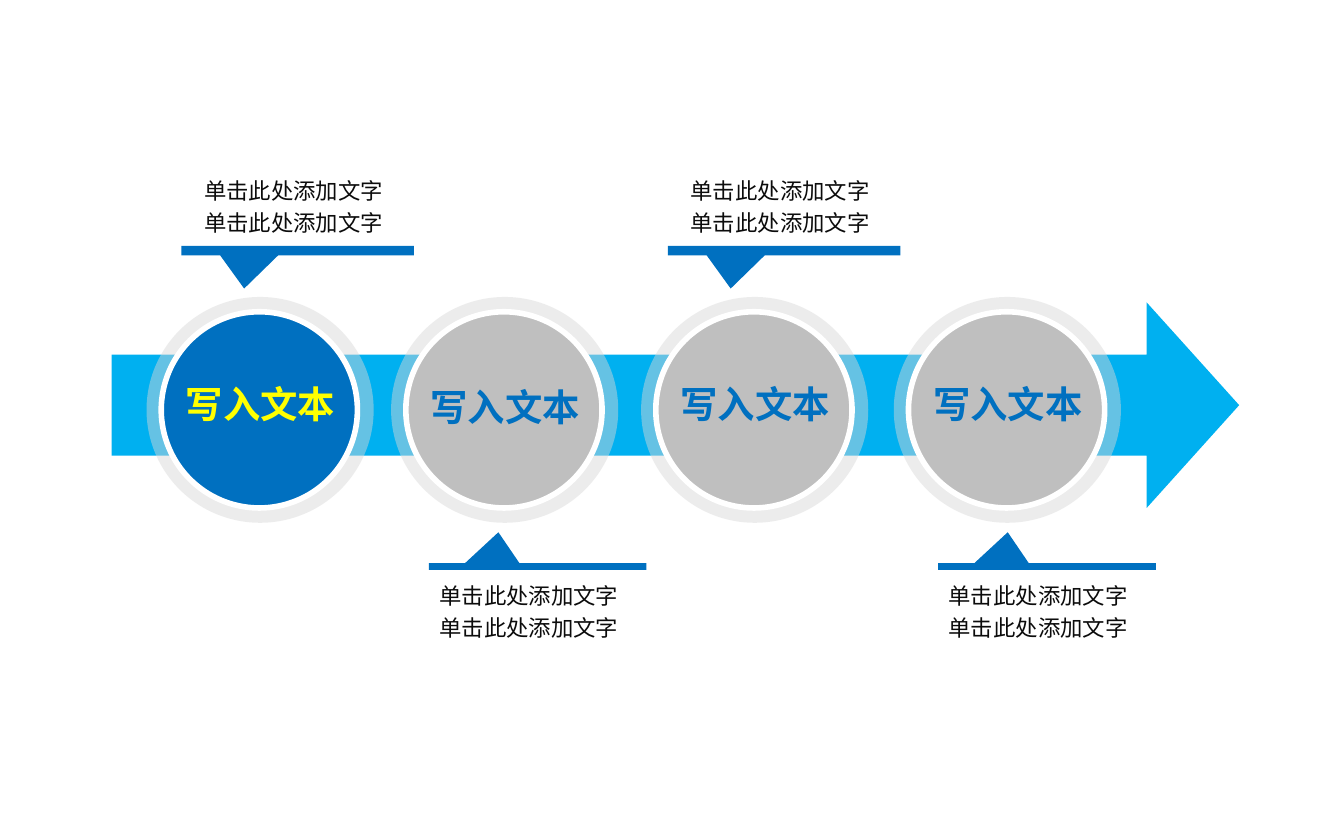
from dataclasses import dataclass

from lxml.etree import SubElement
from pptx import Presentation
from pptx.dml.color import RGBColor
from pptx.enum.shapes import MSO_SHAPE
from pptx.enum.text import MSO_ANCHOR, MSO_AUTO_SIZE, PP_ALIGN
from pptx.oxml.ns import qn
from pptx.shapes.autoshape import Shape
from pptx.util import Emu, Pt

EMU_PER_PX = 9144  # 100 px to the inch
FONT = "Noto Sans CJK SC"
WHITE = RGBColor(0xFF, 0xFF, 0xFF)
SKY = RGBColor(0x00, 0xB0, 0xF0)
BLUE = RGBColor(0x00, 0x70, 0xC0)
YELLOW = RGBColor(0xFF, 0xFF, 0x00)
GREY = RGBColor(0xBF, 0xBF, 0xBF)
RING_GREY = RGBColor(0xD8, 0xD8, 0xD8)
INK = RGBColor(0x0C, 0x0C, 0x0C)
RING_TOP = 221
RING_OPACITY = 47


@dataclass(frozen=True)
class Step:
    left: int
    label_top: int = 279
    fill: RGBColor = GREY
    text_color: RGBColor = BLUE


@dataclass(frozen=True)
class CalloutStyle:
    top: int
    width: int
    height: int
    tip: tuple[float, float]
    note_offset: int
    note_top: int


@dataclass(frozen=True)
class Callout:
    left: int
    style: CalloutStyle


ABOVE = CalloutStyle(183, 173, 7, (-0.23, 4.03), 7, 123)
BELOW = CalloutStyle(419, 162, 5, (-0.18, -5.1), -2, 424)

STEPS = [
    Step(109, fill=BLUE, text_color=YELLOW),
    Step(291, label_top=281),
    Step(477),
    Step(665),
]
CALLOUTS = [Callout(135, ABOVE), Callout(319, BELOW),
            Callout(497, ABOVE), Callout(698, BELOW)]


def px(value: int) -> Emu:
    return Emu(value * EMU_PER_PX)


def add_filled(shapes, kind: MSO_SHAPE, left: int, top: int, width: int,
               height: int, fill: RGBColor) -> Shape:
    shape = shapes.add_shape(kind, px(left), px(top), px(width), px(height))
    shape.shadow.inherit = False
    shape.fill.solid()
    shape.fill.fore_color.rgb = fill
    shape.line.fill.background()
    return shape


def set_opacity(shape: Shape, percent: int) -> None:
    color = shape.fill._xPr.find(f"{qn('a:solidFill')}/{qn('a:srgbClr')}")
    SubElement(color, qn("a:alpha"), val=str(percent * 1000))


def add_text(shapes, left: int, top: int, width: int, height: int,
             lines: list[str], size: int, color: RGBColor, bold: bool = False,
             align: PP_ALIGN = PP_ALIGN.LEFT, spacing: float = 1.0) -> Shape:
    box = shapes.add_textbox(px(left), px(top), px(width), px(height))
    frame = box.text_frame
    frame.word_wrap = True
    frame.vertical_anchor = MSO_ANCHOR.TOP
    for index, line in enumerate(lines):
        paragraph = frame.add_paragraph() if index else frame.paragraphs[0]
        paragraph.alignment = align
        paragraph.line_spacing = spacing
        run = paragraph.add_run()
        run.text = line
        run.font.size = Pt(size)
        run.font.bold = bold
        run.font.name = FONT
        run.font.color.rgb = color
        SubElement(run.font._element, qn("a:ea"), typeface=FONT)
    return box


def add_step(slide, step: Step) -> None:
    shapes = slide.shapes.add_group_shape().shapes
    ring = add_filled(shapes, MSO_SHAPE.OVAL, step.left, RING_TOP, 169, 168, RING_GREY)
    set_opacity(ring, RING_OPACITY)
    disc = add_filled(shapes, MSO_SHAPE.OVAL, step.left + 11, RING_TOP + 11,
                      146, 146, step.fill)
    disc.line.color.rgb = WHITE
    disc.line.width = Pt(3)
    add_text(shapes, step.left - 8, step.label_top, 186, 60, ["写入文本"], 20,
             step.text_color, bold=True, align=PP_ALIGN.CENTER)


def add_callout(slide, callout: Callout) -> None:
    style = callout.style
    bar = add_filled(slide.shapes, MSO_SHAPE.RECTANGULAR_CALLOUT, callout.left,
                     style.top, style.width, style.height, BLUE)
    bar.adjustments[0], bar.adjustments[1] = style.tip
    note = add_text(slide.shapes, callout.left + style.note_offset, style.note_top,
                    161, 58, ["单击此处添加文字"] * 2, 12, INK, spacing=1.2)
    note.text_frame.auto_size = MSO_AUTO_SIZE.SHAPE_TO_FIT_TEXT


def main() -> None:
    presentation = Presentation()
    presentation.slide_width = px(1000)
    presentation.slide_height = px(625)
    slide = presentation.slides.add_slide(presentation.slide_layouts[6])

    arrow = add_filled(slide.shapes, MSO_SHAPE.RIGHT_ARROW, 83, 225, 839, 153, SKY)
    arrow.adjustments[0], arrow.adjustments[1] = 0.49, 0.45
    for step in STEPS:
        add_step(slide, step)
    for callout in CALLOUTS:
        add_callout(slide, callout)

    presentation.save("out.pptx")


if __name__ == "__main__":
    main()
